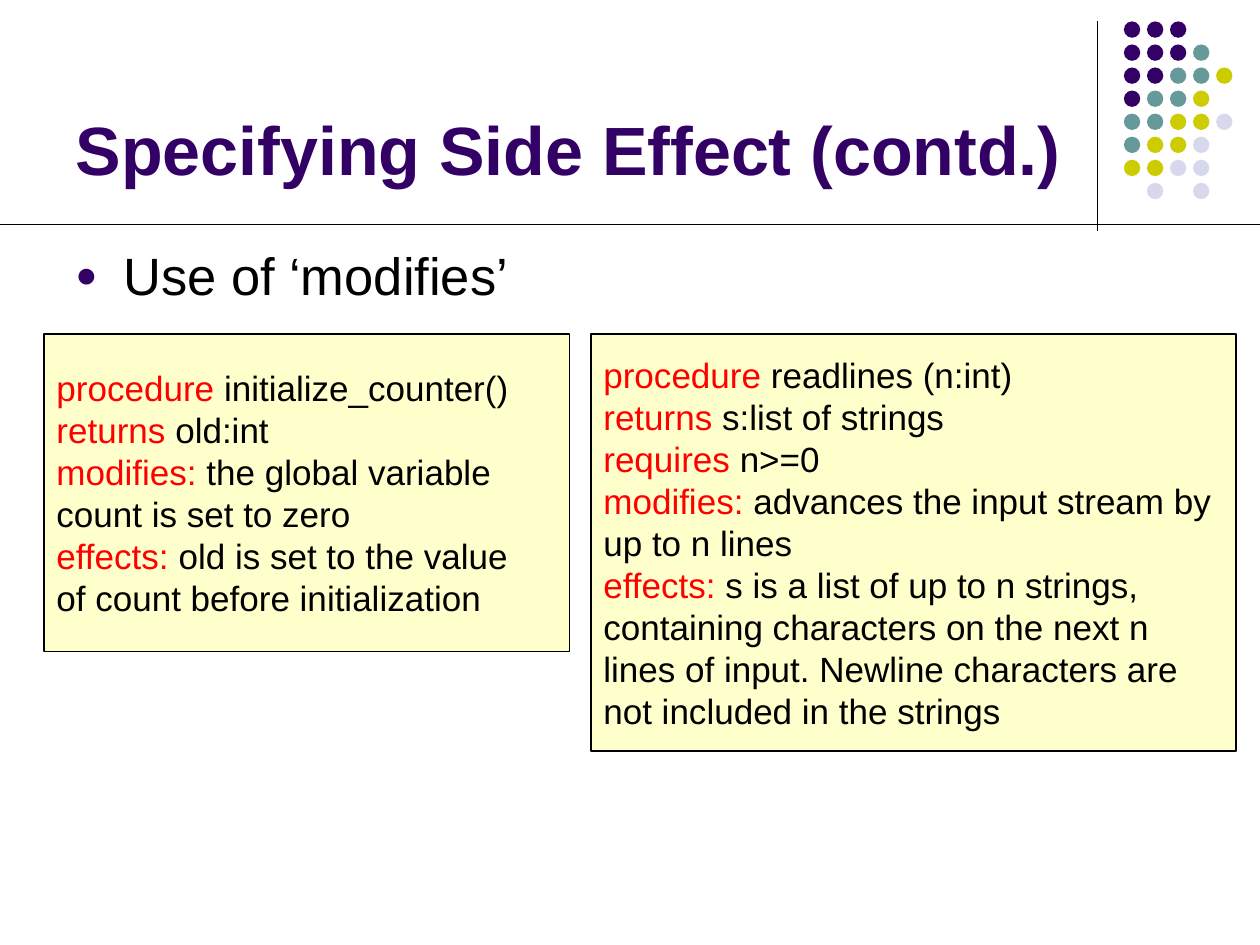
from lxml import etree
from pptx import Presentation
from pptx.dml.color import RGBColor
from pptx.enum import shapes, text
from pptx.oxml import ns
from pptx.util import Inches, Pt

# Content: each code line is (keyword, rest)
TITLE = "Specifying Side Effect (contd.)"
BULLET = "Use of ‘modifies’"
COUNTER_SPEC = [
    ("procedure", " initialize_counter()"),
    ("returns", " old:int"),
    ("modifies:", " the global variable"),
    ("", "count is set to zero"),
    ("effects:", " old is set to the value"),
    ("", "of count before initialization"),
]
READLINES_SPEC = [
    ("procedure", " readlines (n:int)"),
    ("returns", " s:list of strings"),
    ("requires", " n>=0"),
    ("modifies:", " advances the input stream by"),
    ("", "up to n lines"),
    ("effects:", " s is a list of up to n strings,"),
    ("", "containing characters on the next n"),
    ("", "lines of input. Newline characters are"),
    ("", "not included in the strings"),
]
SPEC_BOXES = [
    (COUNTER_SPEC, (0.35, 2.65, 4.17, 2.52)),
    (READLINES_SPEC, (4.69, 2.65, 5.12, 3.31)),
]
RULES = [(8.71, 0.17, 8.71, 1.83), (0, 1.78, 10, 1.78)]

# One letter per dot: purple, teal, olive, lavender
DOT_ROWS = ["PPP", "PPPT", "PPTTO", "PTTO", "TTOOL", "TOOL", "OOLL", " L L"]
DOT_LEFT, DOT_TOP, DOT_PITCH, DOT_SIZE = 8.92, 0.17, 0.183, 0.13

THEME = {
    "font": "Arial",
    "title": "330066", "text": "000000", "keyword": "FF0000",
    "box": "FFFFCC", "line": "000000",
    "dots": {"P": "330066", "T": "669999", "O": "CCCC00", "L": "D8D8EC"},
    "title_size": 39, "body_size": 30, "code_size": 20, "line_width": 0.75,
}


def rgb(color):
    return RGBColor.from_string(color)


def place(shape, left, top, width, height):
    shape.left, shape.top = Inches(left), Inches(top)
    shape.width, shape.height = Inches(width), Inches(height)


def write(shape, lines, size, bold=False, anchor=text.MSO_ANCHOR.TOP, wrap=True):
    """Fill a shape with lines, each a list of (text, colour) runs."""
    frame = shape.text_frame
    frame.auto_size = text.MSO_AUTO_SIZE.NONE
    frame.word_wrap = wrap
    frame.vertical_anchor = anchor
    for index, runs in enumerate(lines):
        paragraph = frame.add_paragraph() if index else frame.paragraphs[0]
        paragraph.alignment = text.PP_ALIGN.LEFT
        for content, color in runs:
            if content:
                run = paragraph.add_run()
                run.text = content
                run.font.name = THEME["font"]
                run.font.size = Pt(size)
                run.font.bold = bold
                run.font.color.rgb = rgb(color)
    return frame


def add_bullet(paragraph, color, percent, indent):
    properties = paragraph._p.get_or_add_pPr()
    properties.set("marL", str(Inches(indent)))
    properties.set("indent", str(-Inches(indent)))
    bullet_color = etree.SubElement(properties, ns.qn("a:buClr"))
    etree.SubElement(bullet_color, ns.qn("a:srgbClr"), val=color)
    etree.SubElement(properties, ns.qn("a:buSzPct"), val=str(percent * 1000))
    etree.SubElement(properties, ns.qn("a:buFont"), typeface=THEME["font"])
    etree.SubElement(properties, ns.qn("a:buChar"), char="●")


def add_rule(slide, *ends):
    rule = slide.shapes.add_connector(
        shapes.MSO_CONNECTOR.STRAIGHT, *[Inches(end) for end in ends])
    rule.line.color.rgb = rgb(THEME["line"])
    rule.line.width = Pt(THEME["line_width"])
    etree.SubElement(rule._element.spPr, ns.qn("a:effectLst"))


def add_filled(parent, kind, color, *box):
    shape = parent.add_shape(kind, *[Inches(length) for length in box])
    shape.shadow.inherit = False
    shape.fill.solid()
    shape.fill.fore_color.rgb = rgb(color)
    shape.line.fill.background()
    return shape


def main():
    presentation = Presentation()
    presentation.slide_width, presentation.slide_height = Inches(10), Inches(7.5)
    slide = presentation.slides.add_slide(presentation.slide_layouts[5])

    # Rules and dot pattern
    for ends in RULES:
        add_rule(slide, *ends)
    dots = slide.shapes.add_group_shape()
    for row, letters in enumerate(DOT_ROWS):
        for column, letter in enumerate(letters):
            if letter != " ":
                add_filled(dots.shapes, shapes.MSO_SHAPE.OVAL, THEME["dots"][letter],
                           DOT_LEFT + column * DOT_PITCH, DOT_TOP + row * DOT_PITCH,
                           DOT_SIZE, DOT_SIZE)

    # Title
    title = slide.shapes.title
    place(title, 0.5, 0.13, 8.25, 1.42)
    write(title, [[(TITLE, THEME["title"])]], THEME["title_size"],
          bold=True, anchor=text.MSO_ANCHOR.BOTTOM)

    # Bullet
    body = slide.shapes.add_textbox(0, 0, 0, 0)
    place(body, 0.5, 1.88, 9, 4.82)
    frame = write(body, [[(BULLET, THEME["text"])]], THEME["body_size"])
    frame.paragraphs[0].space_before = Pt(7.5)
    add_bullet(frame.paragraphs[0], THEME["title"], percent=70, indent=0.38)

    # Specification boxes
    for spec, box in SPEC_BOXES:
        shape = add_filled(slide.shapes, shapes.MSO_SHAPE.RECTANGLE, THEME["box"], *box)
        shape.line.color.rgb = rgb(THEME["line"])
        shape.line.width = Pt(THEME["line_width"])
        lines = [[(keyword, THEME["keyword"]), (rest, THEME["text"])]
                 for keyword, rest in spec]
        write(shape, lines, THEME["code_size"],
              anchor=text.MSO_ANCHOR.MIDDLE, wrap=False)

    presentation.save("out.pptx")


if __name__ == "__main__":
    main()
